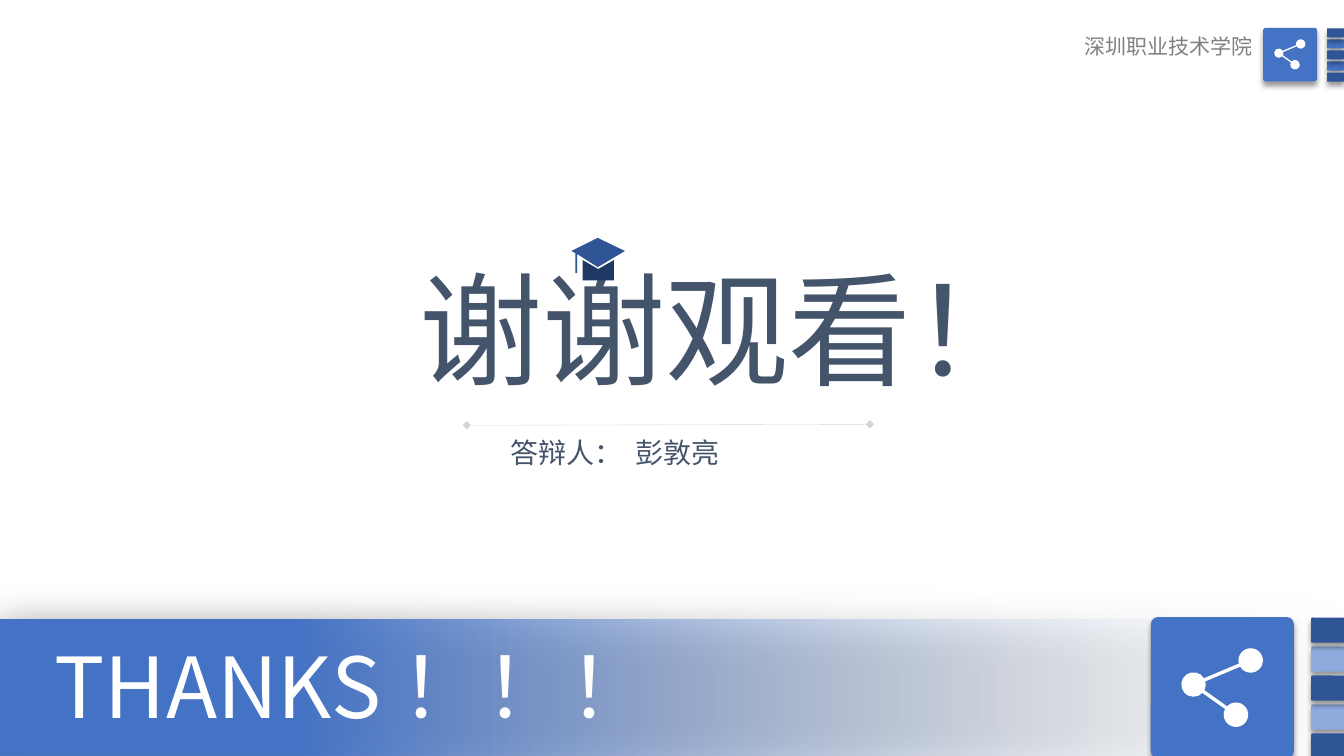
import math

import pptx
import pptx.dml.color
import pptx.enum.shapes
import pptx.enum.text
import pptx.oxml
import pptx.oxml.ns
import pptx.util

Pt = pptx.util.Pt
RGB = pptx.dml.color.RGBColor
ALIGN = pptx.enum.text.PP_ALIGN
SHAPE = pptx.enum.shapes.MSO_SHAPE
qn = pptx.oxml.ns.qn

FONT = "Noto Sans CJK SC"
SLATE = RGB(0x44, 0x54, 0x6A)
GRAY = RGB(0x80, 0x80, 0x80)
WHITE = RGB(0xFF, 0xFF, 0xFF)
PALE = RGB(0xF7, 0xFA, 0xFD)
BLUE = RGB(0x44, 0x72, 0xC4)
LIGHT_BLUE = RGB(0x8F, 0xAA, 0xDC)
DARK_BLUE = RGB(0x2F, 0x55, 0x97)
NAVY = RGB(0x20, 0x38, 0x64)

# text, box (left, top, width, height), size, colour, alignment, wrap
TITLE = ("谢谢观看！", (292.3, 177.1, 458.6, 113.8), 88, SLATE, ALIGN.LEFT, False)
PRESENTER = ("答辩人：  彭敦亮", (353, 307.4, 168, 31.7), 20, SLATE, ALIGN.RIGHT, False)
SCHOOL = ("深圳职业技术学院", (731.4, 20.2, 170.6, 25.2), 15, GRAY, ALIGN.RIGHT, True)
THANKS = ("THANKS ！！！", (31.9, 450, 489.6, 79.9), 60, WHITE, ALIGN.LEFT, True)

BAND = (-0.7, 442.8, 960, 97.2)
RULE = (333.4, 303.8, 621.4, 303.1)
SMALL_BADGE = dict(tile=(902.2, 19.9, 38.6, 38.2), bar=(948, 20.2, 12.3, 6.5),
                   pitch=7.9, bar_colors=(DARK_BLUE, BLUE), icon=(910.1, 28.1, 22.3))
LARGE_BADGE = dict(tile=(822, 440.8, 102.2, 100.8), bar=(936.6, 441.1, 28.8, 18),
                   pitch=20.7, bar_colors=(DARK_BLUE, LIGHT_BLUE), icon=(843.8, 463, 58.3))
BAR_ORDER = (3, 1, 4, 2, 0)  # back to front, numbered from the top

# Share icon in units of its width: node centres and radius
NODE_TOP, NODE_LEFT, NODE_LOW = (0.85, 0.15), (0.15, 0.445), (0.67, 0.815)
NODE_RADIUS = 0.15
LINK_SPREAD = 8  # degrees each side of a link's direction

CAP_BOARD = [(427, 169.9), (408.2, 179.3), (411.1, 180.9), (411.1, 195.1), (412.2, 195.1),
             (412.2, 181.4), (427, 190.8), (446.4, 179.3)]
CAP_BASE = [(416.2, 185.8), (427.3, 192.2), (438.5, 185.8), (438.5, 200.2), (416.2, 200.2)]


def xml(tag, inner="", **attributes):
    listed = "".join(f' {name}="{value}"' for name, value in attributes.items())
    return pptx.oxml.parse_xml(
        f'<a:{tag} {pptx.oxml.ns.nsdecls("a")}{listed}>{inner}</a:{tag}>')


def add_shadow(sp, alpha, blur, dist, angle):
    sp._element.spPr.append(xml(
        "effectLst",
        f'<a:outerShdw blurRad="{Pt(blur)}" dist="{Pt(dist)}" dir="{angle * 60000}" '
        f'algn="t" rotWithShape="0"><a:srgbClr val="000000">'
        f'<a:alpha val="{alpha * 1000}"/></a:srgbClr></a:outerShdw>'))


def set_alpha(element, percent):
    """Set the opacity of the first colour inside the element."""
    element.find(".//" + qn("a:srgbClr")).append(xml("alpha", val=percent * 1000))


def add_text(slide, content, sp=None):
    text, box, size, color, align, wrap = content
    sp = sp or slide.shapes.add_textbox(0, 0, 0, 0)
    sp.left, sp.top, sp.width, sp.height = map(Pt, box)
    tf = sp.text_frame
    tf.text = text
    tf.word_wrap = wrap
    tf.auto_size = pptx.enum.text.MSO_AUTO_SIZE.NONE
    tf.vertical_anchor = pptx.enum.text.MSO_ANCHOR.TOP
    p = tf.paragraphs[0]
    p.alignment = align
    font = p.runs[0].font
    font.name, font.size, font.color.rgb = FONT, Pt(size), color
    font._element.append(xml("ea", typeface=FONT))


def paint(sp, color):
    sp.fill.solid()
    sp.fill.fore_color.rgb = color
    sp.line.fill.background()


def add_outline(slide, points, color):
    points = [(Pt(x), Pt(y)) for x, y in points]
    builder = slide.shapes.build_freeform(*points[0])
    builder.add_line_segments(points[1:])
    sp = builder.convert_to_shape()
    paint(sp, color)
    sp.shadow.inherit = False
    return sp


def add_tile(slide, box, color):
    sp = slide.shapes.add_shape(SHAPE.ROUNDED_RECTANGLE, *map(Pt, box))
    sp.adjustments[0] = 0.05
    paint(sp, color)
    add_shadow(sp, 40, 4, 3, 90)


def arc(center, start, end):
    """Bezier points of a clockwise arc: its start, then three per curve."""
    def at(angle, tangent=0):
        c, s = math.cos(angle), math.sin(angle)
        return (center[0] + NODE_RADIUS * (c - tangent * s),
                center[1] + NODE_RADIUS * (s + tangent * c))

    curves = math.ceil((end - start) / 120)
    step = math.radians(end - start) / curves
    handle = 4 / 3 * math.tan(step / 4)
    points = [at(math.radians(start))]
    for i in range(curves):
        a = math.radians(start) + i * step
        points += [at(a, handle), at(a + step, -handle), at(a + step)]
    return points


def share_points():
    """Trace the three linked nodes as one clockwise run of Bezier curves."""
    def direction(a, b):
        return math.degrees(math.atan2(b[1] - a[1], b[0] - a[0]))

    up, down = direction(NODE_LEFT, NODE_TOP), direction(NODE_LEFT, NODE_LOW)
    d = LINK_SPREAD
    points = arc(NODE_TOP, up + 180 + d, up + 540 - d)
    for side in (arc(NODE_LEFT, up + d, down - d),
                 arc(NODE_LOW, down + 180 + d, down + 540 - d),
                 arc(NODE_LEFT, down + d, up + 360 - d)):
        points += [side[0]] * 2 + side
    return points


def add_share_icon(slide, left, top, width):
    points = [(left + x * width, top + y * width) for x, y in share_points()]
    sp = add_outline(slide, points, WHITE)
    lines = sp._element.findall(".//" + qn("a:lnTo"))
    for i in range(0, len(lines), 3):
        curve = xml("cubicBezTo")
        lines[i].addprevious(curve)
        for line in lines[i:i + 3]:
            curve.append(line[0])
            line.getparent().remove(line)


def add_bars(slide, badge):
    left, top, width, height = badge["bar"]
    for i in BAR_ORDER:
        add_tile(slide, (left, top + i * badge["pitch"], width, height),
                 badge["bar_colors"][i % 2])


def add_share_tile(slide, badge):
    add_tile(slide, badge["tile"], BLUE)
    add_share_icon(slide, *badge["icon"])


def add_rule(slide):
    rule = slide.shapes.add_connector(pptx.enum.shapes.MSO_CONNECTOR.STRAIGHT, *map(Pt, RULE))
    rule.line.width = Pt(0.25)
    rule.line.color.rgb = GRAY
    ln = rule._element.spPr.find(qn("a:ln"))
    set_alpha(ln, 33)
    for end in ("headEnd", "tailEnd"):
        ln.append(xml(end, type="diamond"))
    rule._element.spPr.append(xml("effectLst"))


def add_band(slide):
    sp = slide.shapes.add_shape(SHAPE.RECTANGLE, *map(Pt, BAND))
    sp.fill.gradient()
    sp.fill.gradient_angle = 180
    for stop, position, color in zip(sp.fill.gradient_stops, (0, 0.78), (PALE, BLUE)):
        stop.position = position
        stop.color.rgb = color
    set_alpha(sp._element.spPr, 0)
    sp.line.fill.background()
    add_shadow(sp, 50, 31, 6, 97)


def main():
    prs = pptx.Presentation()
    prs.slide_width, prs.slide_height = Pt(960), Pt(540)
    slide = prs.slides.add_slide(prs.slide_layouts[5])
    add_text(slide, TITLE, slide.shapes.title)
    add_text(slide, PRESENTER)
    add_rule(slide)
    add_bars(slide, SMALL_BADGE)
    add_share_tile(slide, SMALL_BADGE)
    add_text(slide, SCHOOL)
    add_band(slide)
    add_bars(slide, LARGE_BADGE)
    add_text(slide, THANKS)
    add_share_tile(slide, LARGE_BADGE)
    add_outline(slide, CAP_BOARD, DARK_BLUE)
    add_outline(slide, CAP_BASE, NAVY)
    prs.save("out.pptx")


if __name__ == "__main__":
    main()
